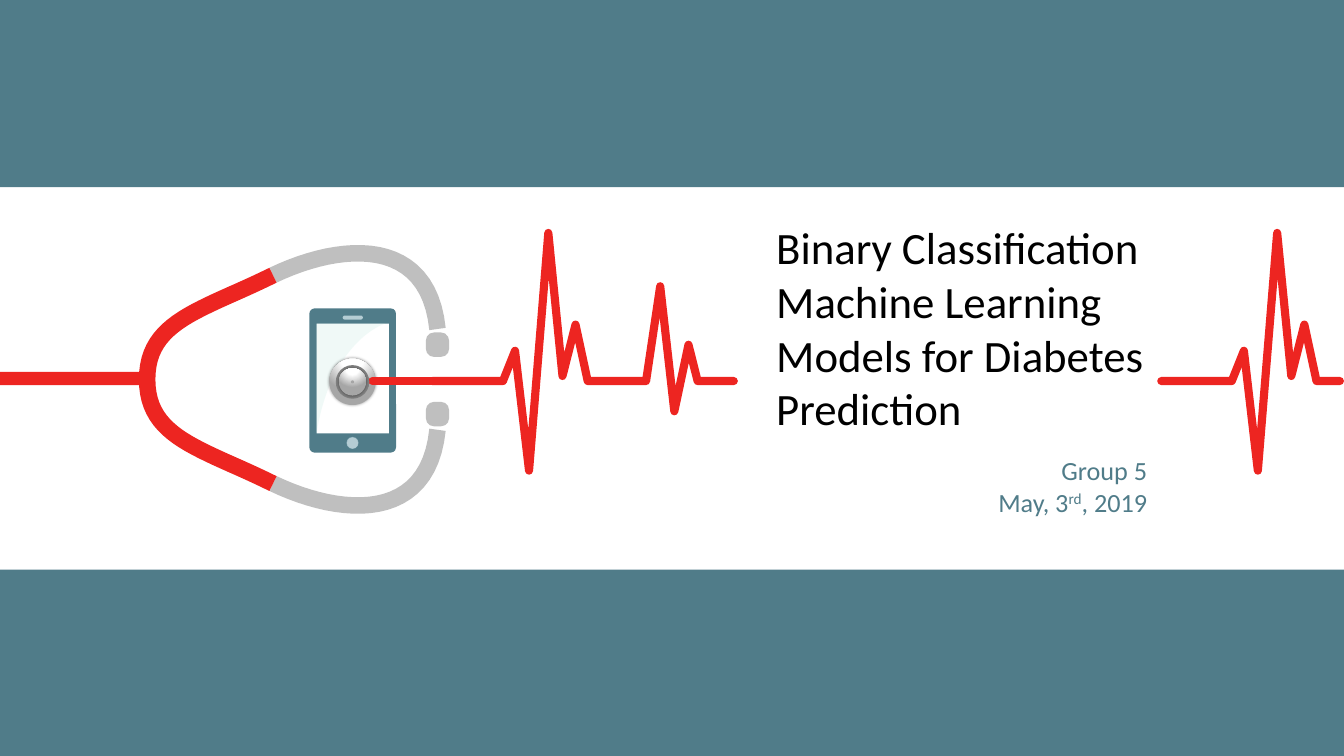
from lxml.etree import SubElement
from pptx import Presentation
from pptx.dml.color import RGBColor
from pptx.enum.shapes import MSO_SHAPE
from pptx.enum.text import MSO_ANCHOR, PP_ALIGN
from pptx.oxml.ns import qn
from pptx.util import Pt

TEAL = RGBColor(0x50, 0x7C, 0x89)
PALE_TEAL = RGBColor(0xB5, 0xCD, 0xD4)
MID_TEAL = RGBColor(0x90, 0xB4, 0xBE)
MINT = RGBColor(0xBC, 0xE7, 0xDC)
RED = RGBColor(0xED, 0x25, 0x21)
SILVER = RGBColor(0xBF, 0xBF, 0xBF)
GRAY = RGBColor(0x80, 0x80, 0x80)
LIGHT_GRAY = RGBColor(0xA6, 0xA6, 0xA6)
WHITE = RGBColor(0xFF, 0xFF, 0xFF)
BLACK = RGBColor(0, 0, 0)

FONT = "Calibri"
SLIDE_WIDTH, SLIDE_HEIGHT = 960, 540
BAND_HEIGHT = 133.7

CORD_WIDTH, TUBE_WIDTH = 5.8, 11.8
PULSE_Y = 272.2
STETHOSCOPE_AXIS = 271
CHEST_PIECE_CENTER = (251.8, 272.8)

FORK, TUBE_JOINT, EAR_TIP = (105.1, STETHOSCOPE_AXIS), (195, 196.6), (312.5, 246.2)
RED_CURVE = (TUBE_JOINT, (144, 221.8), (105.1, 229), FORK)
SILVER_CURVE = (TUBE_JOINT, (244.8, 172.8), (306, 169.2), (312.5, 235))

BIG_BEAT = [(50.4, 0), (59, 21.6), (69, -64), (82.8, 105.8), (92.9, 3.6), (102.2, 40.3), (110.9, 0)]
SMALL_BEAT = [(152.6, 0), (162.7, 67.7), (172.8, -21.6), (182.9, 25.9), (189.4, 0)]


def paint(shape, color):
    shape.shadow.inherit = False
    shape.line.fill.background()
    shape.fill.solid()
    shape.fill.fore_color.rgb = color
    return shape


def add_preset(slide, kind, left, top, width, height, color):
    shape = slide.shapes.add_shape(kind, Pt(left), Pt(top), Pt(width), Pt(height))
    return paint(shape, color)


def add_centered(slide, kind, center, width, height, color):
    left, top = center[0] - width / 2, center[1] - height / 2
    return add_preset(slide, kind, left, top, width, height, color)


def add_path(slide, points, closed):
    first, *others = [(Pt(x), Pt(y)) for x, y in points]
    builder = slide.shapes.build_freeform(*first)
    builder.add_line_segments(others, close=closed)
    return builder.convert_to_shape()


def add_stroke(slide, points, width, color, cap="flat"):
    shape = add_path(slide, points, closed=False)
    shape.shadow.inherit = False
    shape.fill.background()
    shape.line.color.rgb = color
    shape.line.width = Pt(width)
    outline = shape.line._get_or_add_ln()
    outline.set("cap", cap)
    SubElement(outline, qn("a:round"))


def curve_points(start, first_control, second_control, end, steps=24):
    points = []
    for step in range(steps + 1):
        t = step / steps
        weights = ((1 - t) ** 3, 3 * t * (1 - t) ** 2, 3 * t ** 2 * (1 - t), t ** 3)
        anchors = (start, first_control, second_control, end)
        points.append(tuple(sum(weight * anchor[axis] for weight, anchor in zip(weights, anchors))
                            for axis in (0, 1)))
    return points


def mirror(point):
    x, y = point
    return x, 2 * STETHOSCOPE_AXIS - y


def add_stethoscope(slide):
    upper_silver = curve_points(*SILVER_CURVE)
    lower_silver = [mirror(point) for point in upper_silver]
    for tube, tip in ((upper_silver, EAR_TIP), (lower_silver, mirror(EAR_TIP))):
        add_stroke(slide, tube, TUBE_WIDTH, SILVER)
        ear_piece = add_centered(slide, MSO_SHAPE.ROUNDED_RECTANGLE, tip, 16.6, 17.5, SILVER)
        ear_piece.adjustments[0] = 0.35
    upper_red = curve_points(*RED_CURVE)
    lower_red = [mirror(point) for point in reversed(upper_red[:-1])]
    add_stroke(slide, upper_red + lower_red, TUBE_WIDTH, RED)
    add_preset(slide, MSO_SHAPE.RECTANGLE, 0, 265.7, 103, 9.4, RED)


def add_cord(slide, left, right):
    add_stroke(slide, [(left, PULSE_Y), (right, PULSE_Y)], CORD_WIDTH, RED, "rnd")


def add_heartbeat(slide, left, beats, length):
    trace = [(0, 0), *beats, (length, 0)]
    points = [(left + distance, PULSE_Y - rise) for distance, rise in trace]
    add_stroke(slide, points, CORD_WIDTH, RED, "rnd")


def add_phone(slide):
    frame = add_preset(slide, MSO_SHAPE.ROUNDED_RECTANGLE, 221, 220.3, 61.9, 103, TEAL)
    frame.adjustments[0] = 0.06
    left, top, width, height = 226.1, 231.1, 51.8, 78.5
    add_preset(slide, MSO_SHAPE.RECTANGLE, left, top, width, height, WHITE)
    speaker = add_preset(slide, MSO_SHAPE.ROUNDED_RECTANGLE, 244.8, 225.4, 14.4, 2.9, PALE_TEAL)
    speaker.adjustments[0] = 0.5
    for diameter, color in ((8.6, MID_TEAL), (7.9, PALE_TEAL)):
        add_centered(slide, MSO_SHAPE.OVAL, (251.8, 316.4), diameter, diameter, color)
    edge = curve_points((left, top + height), (233.3, 262.8), (256.3, 238.3), (275, top))
    glare = paint(add_path(slide, [(left, top), *edge], closed=True), MINT)
    mint = glare._element.spPr.find(qn("a:solidFill"))[0]
    SubElement(mint, qn("a:alpha"), val="22000")


def add_disc(slide, diameter, color):
    return add_centered(slide, MSO_SHAPE.OVAL, CHEST_PIECE_CENTER, diameter, diameter, color)


def add_metal_disc(slide, diameter):
    disc = add_disc(slide, diameter, SILVER)
    disc.fill.gradient()
    for stop, position, color in zip(disc.fill.gradient_stops, (0.35, 1), (WHITE, LIGHT_GRAY)):
        stop.position = position
        stop.color.rgb = color
    properties = disc._element.spPr
    gradient = properties.find(qn("a:gradFill"))
    gradient.remove(gradient.find(qn("a:lin")))
    radial = SubElement(gradient, qn("a:path"), path="circle")
    SubElement(radial, qn("a:fillToRect"), l="50000", t="-80000", r="50000", b="180000")
    shadow = SubElement(properties.find(qn("a:effectLst")), qn("a:outerShdw"),
                        blurRad=str(Pt(2)), dist="0", dir="0", rotWithShape="0")
    shade = SubElement(shadow, qn("a:srgbClr"), val=str(BLACK))
    SubElement(shade, qn("a:alpha"), val="40000")


def add_chest_piece(slide):
    add_metal_disc(slide, 33)
    add_cord(slide, 266, 270)
    add_disc(slide, 24, GRAY)
    add_metal_disc(slide, 19.5)
    add_disc(slide, 2.2, LIGHT_GRAY)


def add_text(slide, left, top, width, height, lines, size, color, alignment, anchor):
    frame = slide.shapes.add_textbox(Pt(left), Pt(top), Pt(width), Pt(height)).text_frame
    frame.word_wrap = True
    frame.vertical_anchor = anchor
    for index, runs in enumerate(lines):
        paragraph = frame.add_paragraph() if index else frame.paragraphs[0]
        paragraph.alignment = alignment
        paragraph.font.name = FONT
        paragraph.font.size = Pt(size)
        paragraph.font.color.rgb = color
        for text, baseline in runs:
            run = paragraph.add_run()
            run.text = text
            if baseline:
                run.font._element.set("baseline", str(baseline * 1000))


def main():
    presentation = Presentation()
    presentation.slide_width, presentation.slide_height = Pt(SLIDE_WIDTH), Pt(SLIDE_HEIGHT)
    slide = presentation.slides.add_slide(presentation.slide_layouts[6])
    for top in (0, SLIDE_HEIGHT - BAND_HEIGHT + 0.5):
        add_preset(slide, MSO_SHAPE.RECTANGLE, 0, top, SLIDE_WIDTH, BAND_HEIGHT, TEAL)
    add_phone(slide)
    add_cord(slide, 271, 309)
    add_stethoscope(slide)
    add_heartbeat(slide, 308.9, BIG_BEAT + SMALL_BEAT, 215.3)
    add_text(slide, 432.7, 321, 393.8, 52.6,
             [[("Group 5", 0)], [("May, 3", 0), ("rd", 30), (", 2019", 0)]],
             18.7, TEAL, PP_ALIGN.RIGHT, MSO_ANCHOR.MIDDLE)
    add_heartbeat(slide, 829.5, BIG_BEAT, 127.6)
    add_chest_piece(slide)
    add_text(slide, 547.4, 153.5, 345.6, 200.9,
             [[("Binary Classification Machine Learning Models for Diabetes Prediction", 0)]],
             32, BLACK, PP_ALIGN.LEFT, MSO_ANCHOR.TOP)
    presentation.save("out.pptx")


if __name__ == "__main__":
    main()
